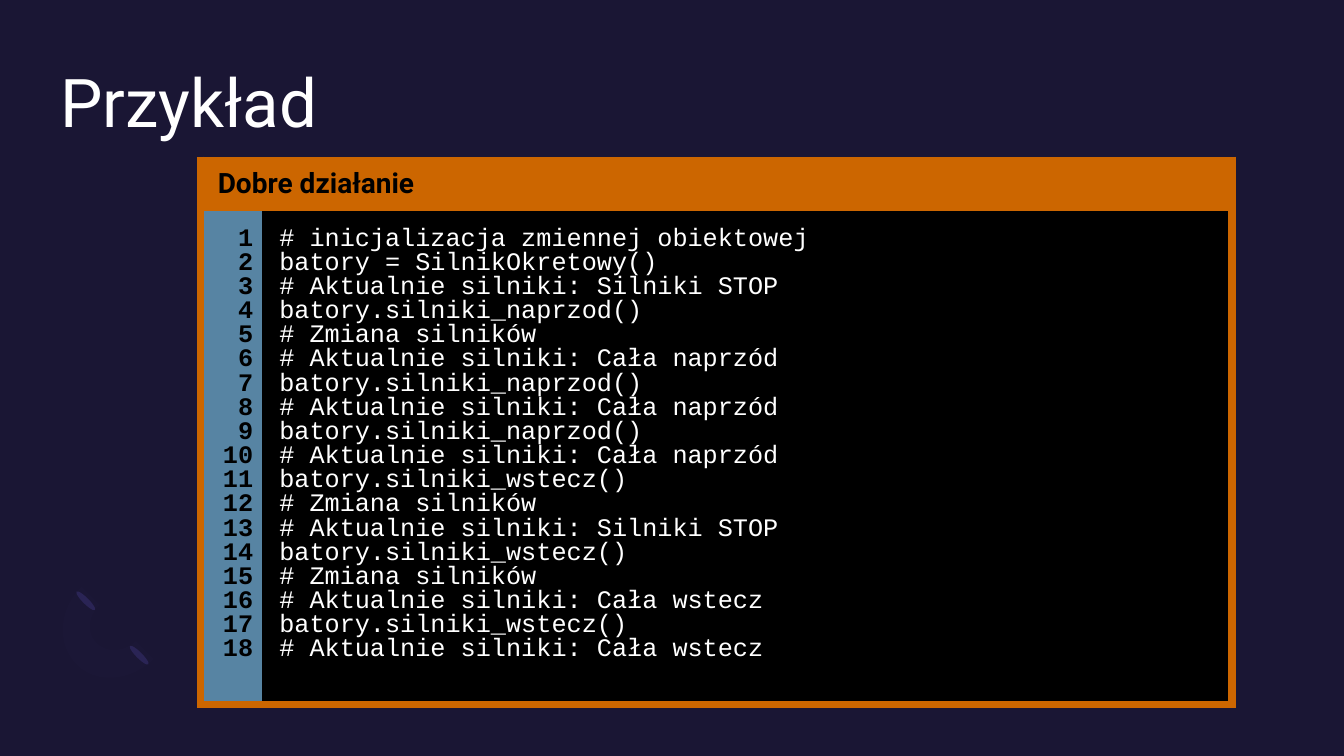
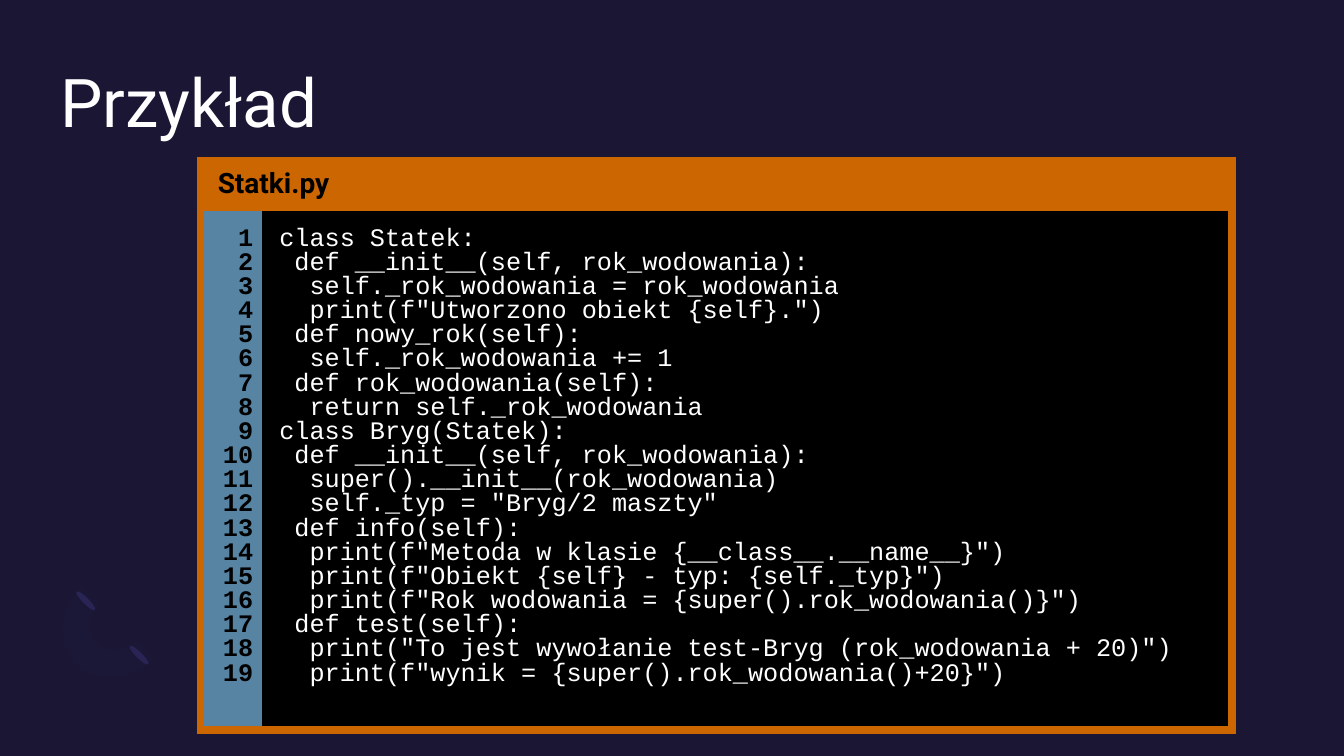
from lxml import etree
from pptx import Presentation
from pptx.dml.color import RGBColor
from pptx.enum.shapes import MSO_SHAPE
from pptx.enum.text import MSO_ANCHOR, PP_ALIGN
from pptx.oxml.ns import qn
from pptx.util import Inches, Pt

OVAL = MSO_SHAPE.OVAL
TOP = MSO_ANCHOR.TOP
LEFT, RIGHT = PP_ALIGN.LEFT, PP_ALIGN.RIGHT

COLORS = {
    "background": "1A1634",
    "spark": "292353",
    "crescent": "7266BE",
    "frame": "CC6600",
    "gutter": "5784A3",
    "code": "000000",
    "dark": "000000",
    "light": "FFFFFF",
}
SANS, MONO = "Roboto", "Courier New"
HEADER_H, LINE_H, BODY_PAD = 0.47, 0.24, 0.37
GUTTER_W, CODE_W = 0.61, 9.62
CRESCENT = [
    [(0.76, 6.59), (0.56, 6.39), (0.58, 6.05), (0.81, 5.82)],
    [(0.99, 6.0), (0.87, 6.11), (0.86, 6.29), (0.96, 6.38)],
    [(0.96, 6.38), (1.06, 6.48), (1.23, 6.47), (1.35, 6.36)],
    [(1.52, 6.54), (1.3, 6.76), (0.95, 6.79), (0.76, 6.59)],
]

SHIP_RUN = [
    "# inicjalizacja zmiennej obiektowej",
    "batory = SilnikOkretowy()",
    "# Aktualnie silniki: Silniki STOP",
    "batory.silniki_naprzod()",
    "# Zmiana silników",
    "# Aktualnie silniki: Cała naprzód",
    "batory.silniki_naprzod()",
    "# Aktualnie silniki: Cała naprzód",
    "batory.silniki_naprzod()",
    "# Aktualnie silniki: Cała naprzód",
    "batory.silniki_wstecz()",
    "# Zmiana silników",
    "# Aktualnie silniki: Silniki STOP",
    "batory.silniki_wstecz()",
    "# Zmiana silników",
    "# Aktualnie silniki: Cała wstecz",
    "batory.silniki_wstecz()",
    "# Aktualnie silniki: Cała wstecz",
]
SHIP_CLASSES = [
    "class Statek:",
    " def __init__(self, rok_wodowania):",
    "  self._rok_wodowania = rok_wodowania",
    '  print(f"Utworzono obiekt {self}.")',
    " def nowy_rok(self):",
    "  self._rok_wodowania += 1",
    " def rok_wodowania(self):",
    "  return self._rok_wodowania",
    "class Bryg(Statek):",
    " def __init__(self, rok_wodowania):",
    "  super().__init__(rok_wodowania)",
    '  self._typ = "Bryg/2 maszty"',
    " def info(self):",
    '  print(f"Metoda w klasie {__class__.__name__}")',
    '  print(f"Obiekt {self} - typ: {self._typ}")',
    '  print(f"Rok wodowania = {super().rok_wodowania()}")',
    " def test(self):",
    '  print("To jest wywołanie test-Bryg (rok_wodowania + 20)")',
    '  print(f"wynik = {super().rok_wodowania()+20}")',
]


def rgb(name):
    return RGBColor.from_string(COLORS[name])


def bezier(a, b, c, d, steps=12):
    points = []
    for i in range(steps + 1):
        t = i / steps
        u = 1 - t
        weights = (u ** 3, 3 * u * u * t, 3 * u * t * t, t ** 3)
        points.append(tuple(
            Inches(sum(w * v for w, v in zip(weights, axis)))
            for axis in zip(a, b, c, d)))
    return points


class Deck:
    """Holds the deck style and the slide being built."""

    def __init__(self):
        self.prs = Presentation()
        self.prs.slide_width = Inches(13.33)
        self.prs.slide_height = Inches(7.5)
        self.s = None

    def slide(self, title):
        self.s = self.prs.slides.add_slide(self.prs.slide_layouts[6])
        fill = self.s.background.fill
        fill.solid()
        fill.fore_color.rgb = rgb("background")
        for x, y in ((1.35, 6.37), (0.82, 5.83)):
            self.spark(x, y)
        self.crescent()
        self.title(title)

    def paint(self, sp, color):
        sp.shadow.inherit = False
        sp.fill.solid()
        sp.fill.fore_color.rgb = rgb(color)
        sp.line.fill.background()

    def spark(self, x, y):
        sp = self.s.shapes.add_shape(
            OVAL, Inches(x), Inches(y), Inches(0.06), Inches(0.26))
        sp.rotation = 135
        self.paint(sp, "spark")

    def crescent(self):
        points = [pt for curve in CRESCENT for pt in bezier(*curve)]
        builder = self.s.shapes.build_freeform(*points[0])
        builder.add_line_segments(points[1:], close=True)
        sp = builder.convert_to_shape()
        self.paint(sp, "crescent")
        color = sp.element.spPr.find(".//" + qn("a:srgbClr"))
        etree.SubElement(color, qn("a:alpha")).set("val", "2000")

    def text(self, p, text, font, size, color, bold=False):
        r = p.add_run()
        r.text = text
        r.font.name = font
        r.font.size = Pt(size)
        r.font.bold = bold
        r.font.color.rgb = rgb(color)

    def title(self, text):
        tf = self.s.shapes.add_textbox(
            Inches(0.6), Inches(0.6), Inches(12.13), Inches(1.46)).text_frame
        tf.word_wrap = True
        tf.vertical_anchor = TOP
        tf.margin_left = tf.margin_right = tf.margin_top = tf.margin_bottom = 0
        self.text(tf.paragraphs[0], text, SANS, 48, "light")

    def borders(self, cell, sides):
        tcPr = cell._tc.get_or_add_tcPr()
        for i, side in enumerate("LRTB"):
            ln = etree.Element(qn("a:ln" + side))
            tcPr.insert(i, ln)
            if side in sides:
                ln.set("w", str(Pt(6)))
                fill = etree.SubElement(ln, qn("a:solidFill"))
                color = etree.SubElement(fill, qn("a:srgbClr"))
                color.set("val", COLORS["frame"])
            else:
                etree.SubElement(ln, qn("a:noFill"))

    def cell(self, cell, lines, fill, sides, margins, spacing, align, **style):
        cell.fill.solid()
        cell.fill.fore_color.rgb = rgb(fill)
        self.borders(cell, sides)
        cell.vertical_anchor = TOP
        left, right, edge = map(Inches, margins)
        cell.margin_left, cell.margin_right = left, right
        cell.margin_top = cell.margin_bottom = edge
        tf = cell.text_frame
        for i, line in enumerate(lines):
            p = tf.add_paragraph() if i else tf.paragraphs[0]
            p.alignment = align
            p.line_spacing = spacing
            p.space_before = Pt(style["size"] * 0.2)
            self.text(p, line, **style)

    def listing(self, caption, lines):
        heights = (HEADER_H, LINE_H * len(lines) + BODY_PAD)
        widths = (GUTTER_W, CODE_W)
        table = self.s.shapes.add_table(
            2, 2, Inches(1.99), Inches(1.59),
            Inches(sum(widths)), Inches(sum(heights))).table
        table.first_row = table.horz_banding = False
        for column, width in zip(table.columns, widths):
            column.width = Inches(width)
        for row, height in zip(table.rows, heights):
            row.height = Inches(height)
        header = table.cell(0, 0)
        header.merge(table.cell(0, 1))
        self.borders(table.cell(0, 1), "RTB")
        self.cell(header, [caption], "frame", "LRTB", (0.17, 0.05, 0.05), 1.07,
                  LEFT, font=SANS, size=20, color="dark", bold=True)
        numbers = [str(n) for n in range(1, len(lines) + 1)]
        self.cell(table.cell(1, 0), numbers, "gutter", "LTB", (0.17, 0.09, 0.23),
                  0.67, RIGHT, font=MONO, size=18, color="dark", bold=True)
        self.cell(table.cell(1, 1), lines, "code", "RTB", (0.17, 0.18, 0.23),
                  0.67, LEFT, font=MONO, size=18, color="light")


def main():
    deck = Deck()
    for caption, lines in (("Dobre działanie", SHIP_RUN),
                           ("Statki.py", SHIP_CLASSES)):
        deck.slide("Przykład")
        deck.listing(caption, lines)
    deck.prs.save("out.pptx")


if __name__ == "__main__":
    main()
